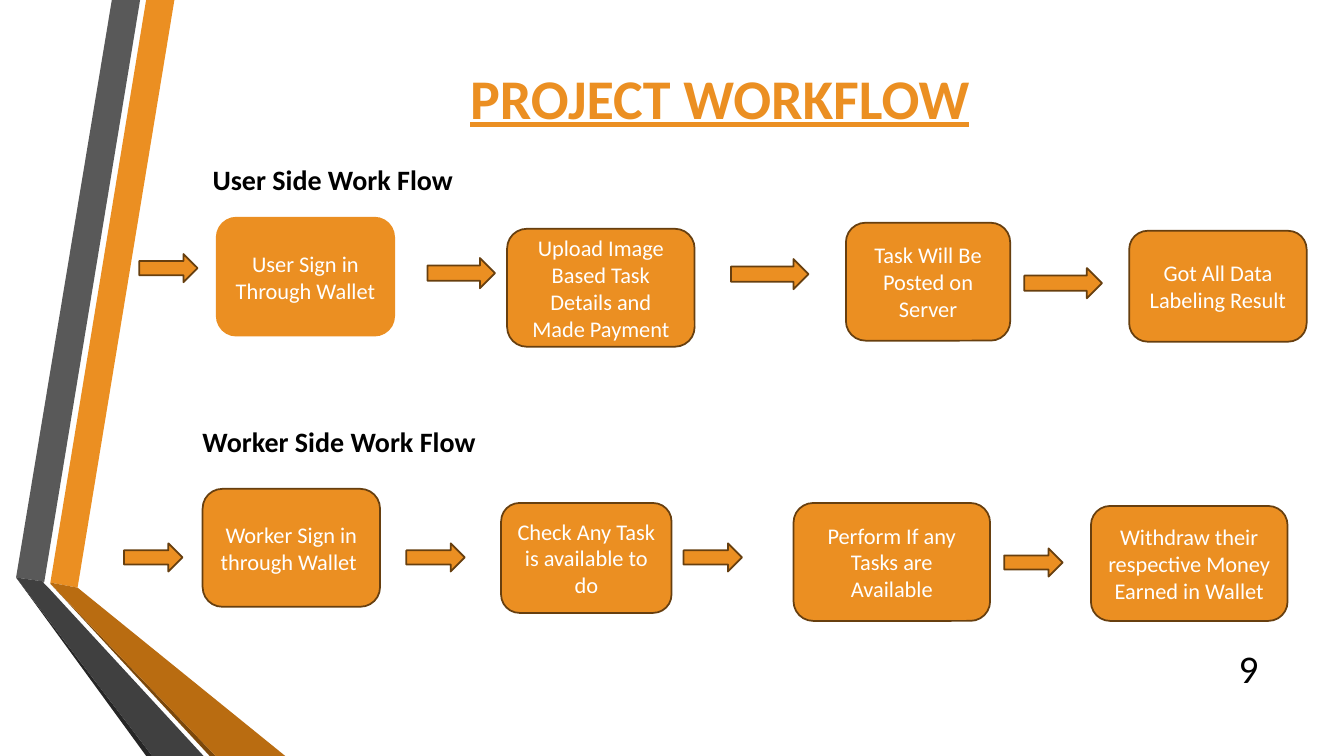
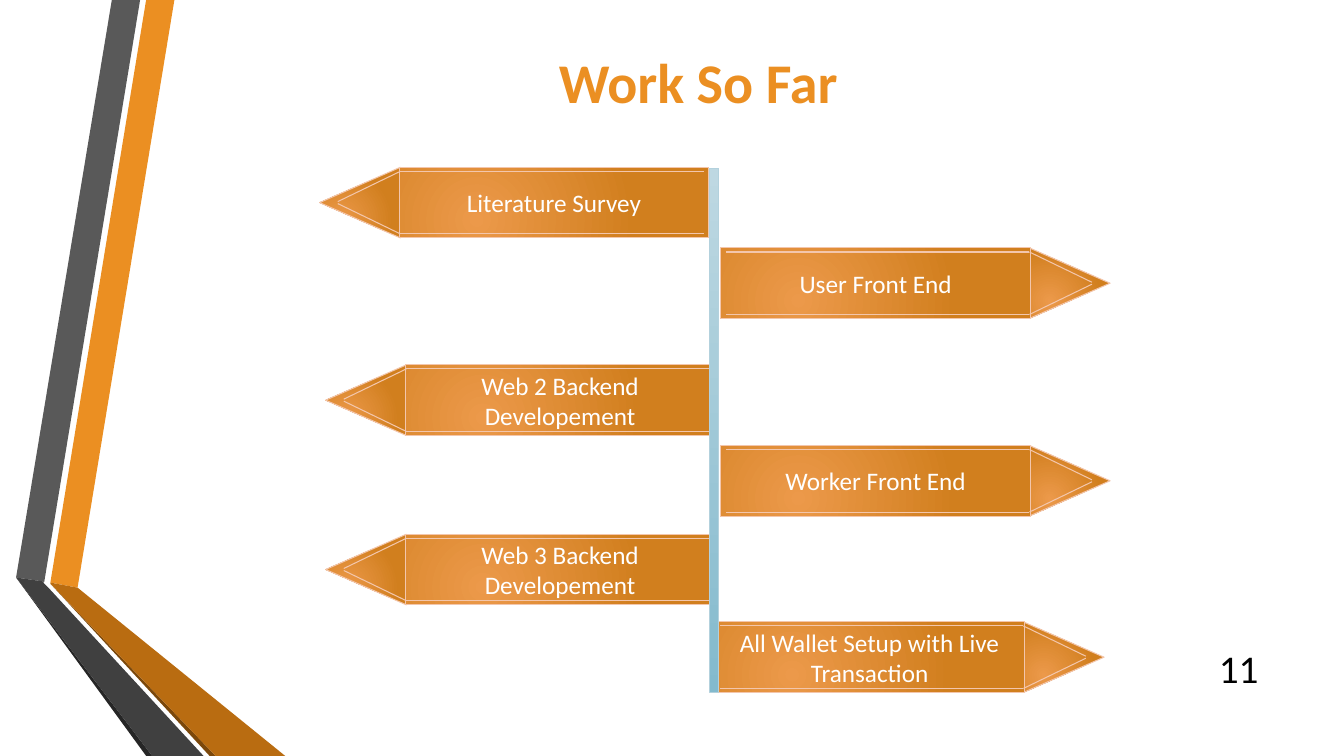
from lxml import etree
from pptx import Presentation
from pptx import util as u
from pptx.dml.color import RGBColor
from pptx.enum import shapes, text
from pptx.oxml.ns import qn

COLORS = {
    "orange": "EB8F22", "brown": "673F0F", "white": "FFFFFF", "black": "000000",
    "gray": "595959", "charcoal": "404040", "shade": "262626",
    "rust": "B96C11", "rust_shade": "7B480B",
    "sign_light": "EC994A", "sign_dark": "D17F1E", "sign_edge": "F3C6AC",
    "post_light": "BED8E2", "post_dark": "83BACD", "post_edge": "B3D1DD",
}
FONT = "Calibri"

RIBBONS = [
    ("orange", [(0.5, 5.78), (0.77, 5.83), (1.73, 0), (1.45, 0)]),
    ("gray", [(1.39, 0), (1.11, 0), (0.16, 5.73), (0.44, 5.77)]),
    ("shade", [(0.16, 5.73), (1.45, 7.5), (1.51, 7.5)]),
    ("rust_shade", [(0.5, 5.79), (2.08, 7.5), (2.14, 7.5)]),
    ("rust", [(0.5, 5.79), (2.14, 7.5), (2.83, 7.5), (0.77, 5.83), (0.5, 5.78)]),
    ("charcoal", [(2.02, 7.5), (0.48, 5.83), (0.43, 5.78), (0.44, 5.77),
                  (0.16, 5.73), (1.51, 7.5)]),
]

STEPS = [
    (2.15, 2.16, 1.76, 1.17, "User Sign in Through Wallet", "orange"),
    (5.03, 2.27, 1.86, 1.17, "Upload Image Based Task Details and Made Payment", "brown"),
    (8.39, 2.21, 1.63, 1.17, "Task Will Be Posted on Server", "brown"),
    (11.2, 2.29, 1.76, 1.1, "Got All Data Labeling Result", "brown"),
    (2.01, 4.85, 1.76, 1.17, "Worker Sign in through Wallet ", "brown"),
    (4.97, 4.99, 1.69, 1.09, "Check Any Task is available to do", "brown"),
    (7.87, 4.99, 1.95, 1.17, "Perform If any Tasks are Available", "brown"),
    (10.82, 5.02, 1.95, 1.14, "Withdraw their respective Money Earned in Wallet", "brown"),
]
ARROWS = [
    (1.38, 2.52, 0.58, 0.28), (4.24, 2.56, 0.67, 0.3),
    (7.25, 2.57, 0.77, 0.3), (10.16, 2.66, 0.77, 0.3),
    (1.23, 5.39, 0.58, 0.28), (4.03, 5.39, 0.58, 0.28),
    (6.78, 5.39, 0.58, 0.28), (9.96, 5.44, 0.58, 0.28),
]
# Edge next to the post, top, direction (1 points right), label
SIGNS = [
    (7.03, 1.66, -1, "Literature Survey"),
    (7.15, 2.46, 1, "User Front End"),
    (7.09, 3.62, -1, "Web 2 Backend Developement"),
    (7.15, 4.42, 1, "Worker Front End"),
    (7.09, 5.3, -1, "Web 3 Backend Developement"),
    (7.09, 6.17, 1, "All Wallet Setup with Live Transaction"),
]


def rgb(name):
    return RGBColor.from_string(COLORS[name])


def inches(*lengths):
    return [u.Inches(length) for length in lengths]


class Deck:
    def __init__(self):
        self.deck = Presentation()
        self.deck.slide_width, self.deck.slide_height = inches(13.33, 7.5)
        self.page = None

    def add_page(self, number):
        self.page = self.deck.slides.add_slide(self.deck.slide_layouts[5])
        box = self.page.shapes.add_textbox(*inches(11.98, 6.43, 0.6, 0.4))
        box.text_frame.word_wrap = True
        self.add_text(box, str(number), 28, "black", align=text.PP_ALIGN.RIGHT)

    def add_text(self, shape, words, size, color, bold=False, underline=None,
                 align=text.PP_ALIGN.CENTER):
        frame = shape.text_frame
        frame.vertical_anchor = text.MSO_ANCHOR.MIDDLE
        para = frame.paragraphs[0]
        para.alignment = align
        span = para.add_run()
        span.text = words
        font = span.font
        font.name, font.size, font.bold = FONT, u.Pt(size), bold
        font.underline = underline
        font.color.rgb = rgb(color)

    def title(self, words, area, underline=None):
        box = self.page.shapes.title
        box.left, box.top, box.width, box.height = inches(*area)
        box.text_frame.auto_size = text.MSO_AUTO_SIZE.NONE
        self.add_text(box, words, 40, "orange", True, underline)

    def label(self, words, area):
        box = self.page.shapes.add_textbox(*inches(*area))
        box.text_frame.word_wrap = False
        self.add_text(box, words, 20, "black", True, align=text.PP_ALIGN.LEFT)

    def shape(self, kind, area, line, weight, fill=None):
        shape = self.page.shapes.add_shape(kind, *inches(*area))
        shape.shadow.inherit = False
        shape.line.color.rgb = rgb(line)
        shape.line.width = u.Pt(weight)
        if fill:
            shape.fill.solid()
            shape.fill.fore_color.rgb = rgb(fill)
        return shape

    def gradient(self, shape, first, last):
        """Fill from first at the top to last at the bottom."""
        shape.fill.gradient()
        shape.fill.gradient_angle = 270
        for stop, name in zip(shape.fill.gradient_stops, (first, last)):
            stop.color.rgb = rgb(name)

    def glow(self, shape):
        """Give a sign part its circular gradient."""
        self.gradient(shape, "sign_light", "sign_dark")
        linear = shape.element.spPr.find(".//" + qn("a:lin"))
        circle = etree.Element(qn("a:path"), {"path": "circle"})
        etree.SubElement(circle, qn("a:fillToRect"),
                         l="50000", t="100000", r="100000", b="50000")
        linear.getparent().replace(linear, circle)

    def line(self, start, end):
        line = self.page.shapes.add_connector(
            shapes.MSO_CONNECTOR.STRAIGHT, *inches(*start, *end))
        line.line.color.rgb = rgb("sign_edge")
        line.line.width = u.Pt(0.75)
        etree.SubElement(line.element.spPr, qn("a:effectLst"))

    def ribbons(self):
        """Draw the side ribbons and move them to the slide master."""
        tree = self.deck.slide_master.shapes.element
        for index, (color, points) in enumerate(RIBBONS):
            corners = [inches(*point) for point in points]
            builder = self.page.shapes.build_freeform(*corners[0])
            builder.add_line_segments(corners[1:], close=True)
            ribbon = builder.convert_to_shape()
            ribbon.shadow.inherit = False
            ribbon.fill.solid()
            ribbon.fill.fore_color.rgb = rgb(color)
            ribbon.line.fill.background()
            tree.insert(2 + index, ribbon.element)

    def step(self, left, top, width, height, words, edge):
        box = self.shape(shapes.MSO_SHAPE.ROUNDED_RECTANGLE,
                         (left, top, width, height), edge, 1.25, "orange")
        self.add_text(box, words, 16, "white")

    def sign(self, edge, top, way, words):
        """Draw a pointed sign that starts at edge and runs in direction way."""
        length, height, point = 3.07, 0.7, 0.8
        center = edge + way * (length - 0.01 + point / 2)
        tip = self.shape(shapes.MSO_SHAPE.ISOSCELES_TRIANGLE,
                         (center - height / 2, top - 0.05, height, point),
                         "sign_edge", 0.75)
        tip.rotation = 90 if way > 0 else 270
        self.glow(tip)
        board = self.shape(shapes.MSO_SHAPE.RECTANGLE,
                           (min(edge, edge + way * length), top, length, height),
                           "sign_edge", 0.75)
        self.glow(board)
        self.add_text(board, words, 18, "white")
        inner, bend, end = (edge + way * offset for offset in (0.05, 3.06, 3.68))
        for rim, meet in ((0.04, 0.34), (0.66, 0.36)):
            self.line((inner, top + rim), (bend, top + rim))
            self.line((bend, top + rim), (end, top + meet))


def main():
    deck = Deck()

    deck.add_page(9)
    deck.ribbons()
    deck.title("PROJECT WORKFLOW", (1.66, 0, 10.96, 1.92), underline=True)
    deck.label("User Side Work Flow", (2.01, 1.56, 2.67, 0.44))
    deck.label("Worker Side Work Flow", (1.91, 4.16, 2.99, 0.44))
    for step in STEPS:
        deck.step(*step)
    for area in ARROWS:
        deck.shape(shapes.MSO_SHAPE.RIGHT_ARROW, area, "brown", 1.25, "orange")

    deck.add_page(11)
    deck.title("Work So Far", (1.78, 0.27, 10.29, 1.06))
    for sign in SIGNS:
        deck.sign(*sign)
    post = deck.shape(shapes.MSO_SHAPE.RECTANGLE, (7.04, 1.67, 0.09, 5.2),
                      "post_edge", 0.75)
    deck.gradient(post, "post_light", "post_dark")

    deck.deck.save("out.pptx")


if __name__ == "__main__":
    main()
